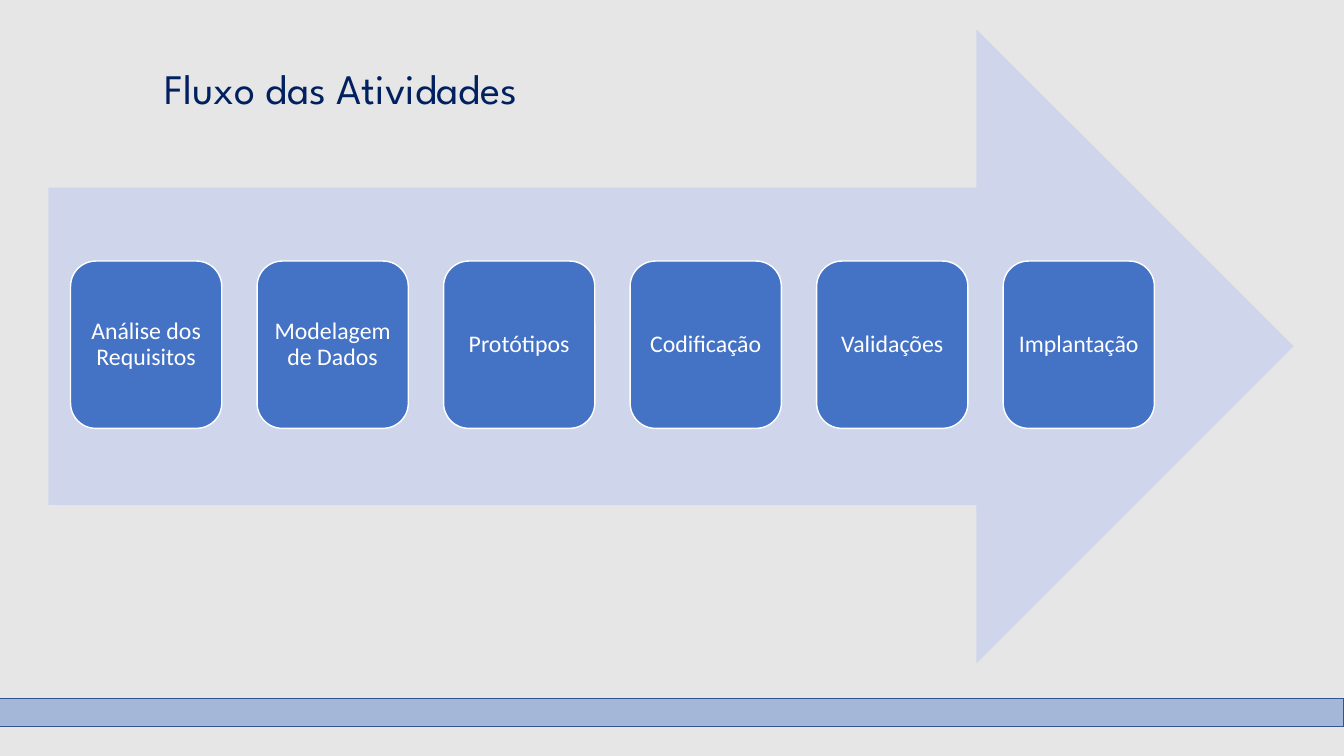
import pptx
import pptx.dml.color
import pptx.enum.shapes
import pptx.enum.text
import pptx.oxml
import pptx.oxml.ns
import pptx.util
from pptx.util import Inches

SHAPES = pptx.enum.shapes.MSO_SHAPE
ANCHORS = pptx.enum.text.MSO_ANCHOR

ACTIVITIES = [
    "Análise dos Requisitos",
    "Modelagem de Dados",
    "Protótipos",
    "Codificação",
    "Validações",
    "Implantação",
]
FIRST_LEFT = 0.7
STEP = 1.85


def rgb(color):
    return pptx.dml.color.RGBColor.from_string(color)


def set_alpha(shape, percent):
    """Make the solid fill of a shape partly transparent."""
    color = shape.fill._xPr.find(".//" + pptx.oxml.ns.qn("a:srgbClr"))
    alpha = pptx.oxml.parse_xml(
        f'<a:alpha {pptx.oxml.ns.nsdecls("a")} val="{percent * 1000}"/>'
    )
    color.append(alpha)


def add_block(slide, kind, left, top, width, height, fill, line=None):
    shape = slide.shapes.add_shape(
        kind, Inches(left), Inches(top), Inches(width), Inches(height)
    )
    shape.shadow.inherit = False
    shape.fill.solid()
    shape.fill.fore_color.rgb = rgb(fill)
    if line:
        shape.line.color.rgb = rgb(line)
        shape.line.width = pptx.util.Pt(1)
    else:
        shape.line.fill.background()
    return shape


def write_text(shape, text, *, size, font, color, anchor, inset=None, spacing=None):
    frame = shape.text_frame
    frame.word_wrap = True
    frame.vertical_anchor = anchor
    if inset is not None:
        frame.margin_left = frame.margin_right = Inches(inset)
        frame.margin_top = frame.margin_bottom = Inches(inset)
    paragraph = frame.paragraphs[0]
    paragraph.alignment = pptx.enum.text.PP_ALIGN.CENTER
    paragraph.line_spacing = spacing
    run = paragraph.add_run()
    run.text = text
    run.font.size = pptx.util.Pt(size)
    run.font.name = font
    run.font.color.rgb = rgb(color)


def add_activity(slide, text, left):
    box = add_block(
        slide, SHAPES.ROUNDED_RECTANGLE, left, 2.59, 1.5, 1.66, "4472C4", "FFFFFF"
    )
    write_text(box, text, size=17, font="Calibri", color="FFFFFF",
               anchor=ANCHORS.MIDDLE, inset=0.07, spacing=0.9)


def add_title(slide, text):
    title = slide.shapes.add_textbox(
        Inches(0.74), Inches(0.57), Inches(5.29), Inches(1.11)
    )
    write_text(title, text, size=30, font="League Spartan", color="002060",
               anchor=ANCHORS.TOP)


def main():
    presentation = pptx.Presentation()
    presentation.slide_width = Inches(13.33)
    presentation.slide_height = Inches(7.5)
    slide = presentation.slides.add_slide(presentation.slide_layouts[6])
    slide.background.fill.solid()
    slide.background.fill.fore_color.rgb = rgb("E7E6E6")

    footer_band = add_block(
        slide, SHAPES.RECTANGLE, -0.03, 6.93, 13.36, 0.28, "4472C4", "325491"
    )
    set_alpha(footer_band, 40)
    add_block(slide, SHAPES.RIGHT_ARROW, 0.48, 0.29, 12.35, 6.29, "CFD5EA")
    for index, activity in enumerate(ACTIVITIES):
        add_activity(slide, activity, FIRST_LEFT + index * STEP)
    add_title(slide, "Fluxo das Atividades")

    presentation.save("out.pptx")


if __name__ == "__main__":
    main()
